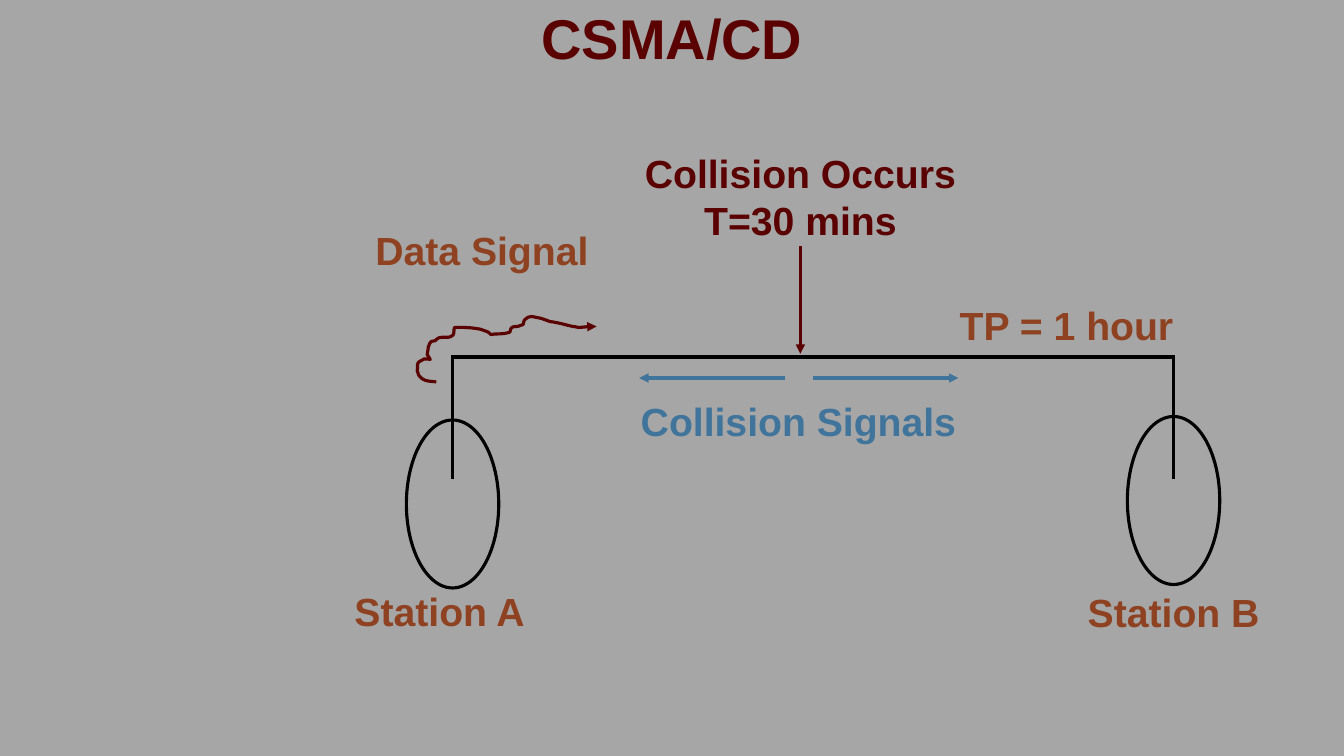
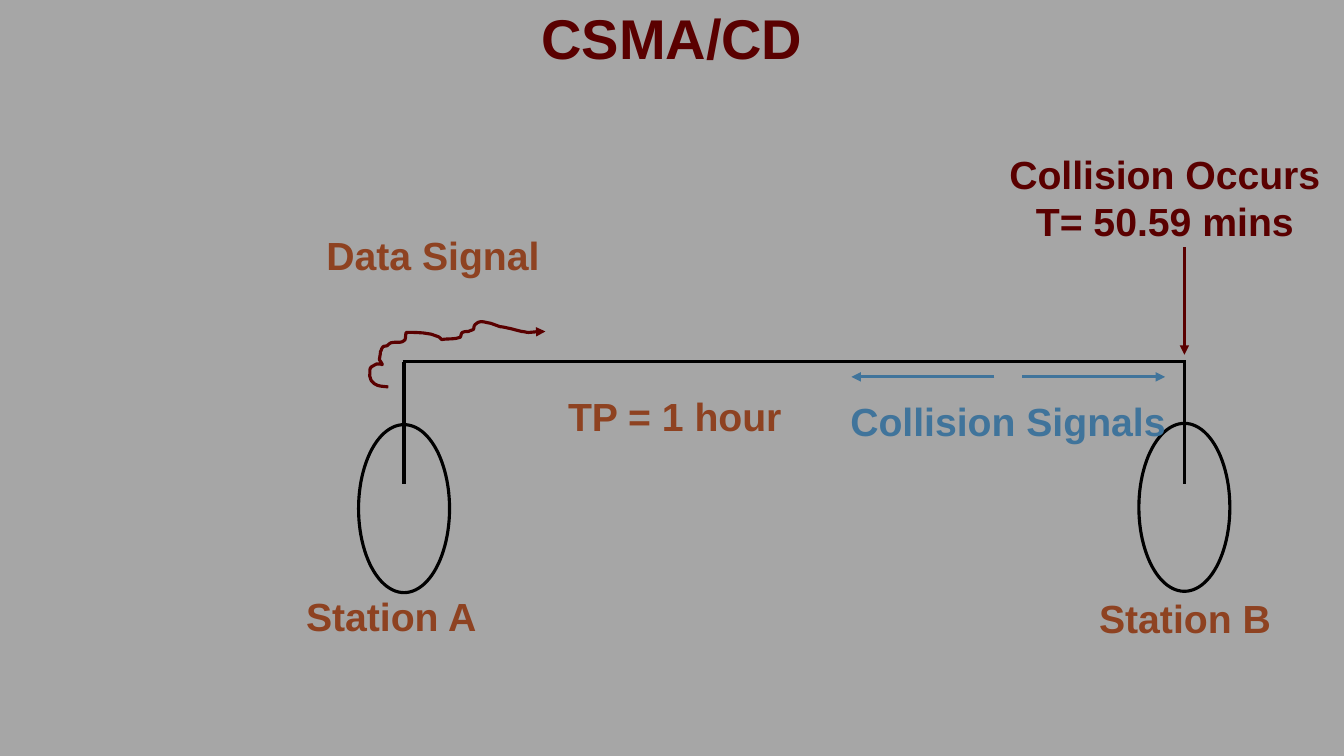
import pptx
import pptx.util
import pptx.oxml
import pptx.oxml.ns
import pptx.dml.color
import pptx.enum.text
import pptx.enum.shapes
from dataclasses import dataclass

Pt = pptx.util.Pt


@dataclass(frozen=True)
class Theme:
    back: str = "A6A6A6"
    ink: str = "000000"
    dark: str = "5A0000"
    rust: str = "8E4221"
    blue: str = "40749B"
    font: str = "Arial"
    head: float = 40
    body: float = 28
    line: float = 2.25


theme = Theme()
WIDE, HIGH = 960, 540
OVAL_H, DROP = 120, 87.5
LABEL_W, LINE_H, INSET = 240, 34, 3.6
GAP = 10

# Content: labels are (text, colour, centre x, top); stations are (x, oval top)
slides = [
    dict(
        title="CSMA/CD", bus=255, oval=66, stations=[(323.3, 300), (838.3, 297.5)],
        hit=(571.7, 176, 252.7), jam=(570.6, 270, 104), wave=(298, 226, 1),
        labels=[
            ("Collision Occurs\nT=30 mins", theme.dark, 571.7, 103),
            ("TP = 1 hour", theme.rust, 761.8, 211.7),
            ("Station B", theme.rust, 838.3, 416.5),
            ("Station A", theme.rust, 314, 416),
            ("Data Signal", theme.rust, 344.2, 158.4),
            ("Collision Signals", theme.blue, 570.3, 280),
        ],
    ),
    dict(
        title="CSMA/CD", bus=258.4, oval=65, stations=[(288.6, 303.3), (846, 302.4)],
        hit=(846, 176.6, 253.4), jam=(720.2, 269.2, 102), wave=(264, 229.6, 0.98),
        labels=[
            ("Collision Occurs\nT= 50.59 mins", theme.dark, 832, 103.7),
            ("TP = 1 hour", theme.rust, 482, 276.5),
            ("Station B", theme.rust, 846.4, 421),
            ("Station A", theme.rust, 279.4, 419.7),
            ("Data Signal", theme.rust, 309.2, 162),
            ("Collision Signals", theme.blue, 720, 280),
        ],
    ),
]

# Data signal: start, then two handles and an end for each curve
UNIT = 0.72
START = (19, 65)
CURVES = [
    (11, 64, 7, 65, 2, 59), (1, 58, 1, 56, 0, 54), (1, 51, -1, 47, 2, 45),
    (11, 37, 17, 49, 10, 38), (10, 36, 11, 33, 11, 30), (12, 29, 12, 27, 13, 26),
    (14, 24, 16, 25, 18, 24), (19, 23, 21, 21, 23, 21), (27, 20, 32, 22, 35, 19),
    (37, 18, 36, 14, 37, 11), (38, 11, 60, 10, 69, 15), (70, 15, 72, 17, 73, 18),
    (79, 17, 85, 18, 91, 16), (93, 16, 92, 12, 94, 11), (96, 10, 98, 10, 100, 10),
    (102, 9, 103, 9, 105, 8), (106, 7, 105, 5, 107, 3), (112, -2, 116, 1, 123, 2),
    (140, 8, 124, 3, 142, 7), (146, 8, 150, 9, 154, 10), (156, 10, 159, 11, 161, 11),
    (174, 10, 168, 10, 178, 10),
]


def rgb(tone):
    return pptx.dml.color.RGBColor.from_string(tone)


def style(par, size, tone):
    par.alignment = pptx.enum.text.PP_ALIGN.CENTER
    font = par.font
    font.name, font.size, font.bold = theme.font, Pt(size), True
    font.color.rgb = rgb(tone)


def stroke(shape, tone, arrow=False):
    shape.line.color.rgb = rgb(tone)
    shape.line.width = Pt(theme.line)
    if arrow:
        tail = pptx.oxml.parse_xml(
            f'<a:tailEnd {pptx.oxml.ns.nsdecls("a")} type="triangle"/>')
        shape.line._get_or_add_ln().append(tail)


def wire(slide, x1, y1, x2, y2, tone, arrow=False):
    kind = pptx.enum.shapes.MSO_CONNECTOR.STRAIGHT
    link = slide.shapes.add_connector(kind, Pt(x1), Pt(y1), Pt(x2), Pt(y2))
    stroke(link, tone, arrow)
    bare = pptx.oxml.parse_xml(f'<a:effectLst {pptx.oxml.ns.nsdecls("a")}/>')
    link._element.spPr.append(bare)


def oval(slide, mid, top, wide):
    kind = pptx.enum.shapes.MSO_SHAPE.OVAL
    ring = slide.shapes.add_shape(kind, Pt(mid - wide / 2), Pt(top), Pt(wide), Pt(OVAL_H))
    ring.shadow.inherit = False
    ring.fill.background()
    stroke(ring, theme.ink)


def label(slide, text, tone, mid, top):
    high = LINE_H * len(text.split("\n")) + 2 * INSET
    box = slide.shapes.add_textbox(Pt(mid - LABEL_W / 2), Pt(top), Pt(LABEL_W), Pt(high))
    frame = box.text_frame
    frame.word_wrap = True
    frame.margin_left = frame.margin_right = 0
    frame.margin_top = frame.margin_bottom = Pt(INSET)
    frame.text = text
    for par in frame.paragraphs:
        style(par, theme.body, tone)


def trace(steps=5):
    """Points along the data signal, in signal units."""
    x, y = START
    spots = []
    for a, b, c, d, e, f in CURVES:
        for i in range(1, steps + 1):
            t = i / steps
            s = 1 - t
            w = (s ** 3, 3 * s * s * t, 3 * s * t * t, t ** 3)
            spots.append((w[0] * x + w[1] * a + w[2] * c + w[3] * e,
                          w[0] * y + w[1] * b + w[2] * d + w[3] * f))
        x, y = e, f
    return spots


def wave(slide, left, top, ratio):
    def place(spot):
        return Pt(left + spot[0] * UNIT * ratio), Pt(top + spot[1] * UNIT)

    pen = slide.shapes.build_freeform(*place(START))
    pen.add_line_segments([place(spot) for spot in trace()], close=False)
    curve = pen.convert_to_shape()
    curve.shadow.inherit = False
    curve.fill.background()
    stroke(curve, theme.dark, True)


def head(slide, text):
    title = slide.shapes.title
    title.left, title.top, title.width, title.height = 0, Pt(3), Pt(WIDE), Pt(53)
    frame = title.text_frame
    frame.margin_left = frame.margin_right = frame.margin_top = frame.margin_bottom = 0
    frame.vertical_anchor = pptx.enum.text.MSO_ANCHOR.MIDDLE
    frame.text = text
    par = frame.paragraphs[0]
    par.line_spacing = 0.9
    style(par, theme.head, theme.dark)


def draw(slide, data):
    head(slide, data["title"])

    # Bus and stations
    bus = data["bus"]
    (xa, _), (xb, _) = data["stations"]
    wire(slide, xa - 1, bus, xb + 1, bus, theme.ink)
    for x, top in data["stations"]:
        wire(slide, x, bus, x, bus + DROP, theme.ink)
        oval(slide, x, top, data["oval"])

    # Collision and its signals
    x, top, end = data["hit"]
    wire(slide, x, top, x, end, theme.dark, True)
    mid, y, span = data["jam"]
    for way in (1, -1):
        near = mid + way * GAP
        wire(slide, near, y, near + way * span, y, theme.blue, True)

    # Data signal and labels
    wave(slide, *data["wave"])
    for item in data["labels"]:
        label(slide, *item)


def main():
    deck = pptx.Presentation()
    deck.slide_width, deck.slide_height = Pt(WIDE), Pt(HIGH)
    fill = deck.slide_master.background.fill
    fill.solid()
    fill.fore_color.rgb = rgb(theme.back)
    for data in slides:
        draw(deck.slides.add_slide(deck.slide_layouts[5]), data)
    deck.save("out.pptx")


if __name__ == "__main__":
    main()
